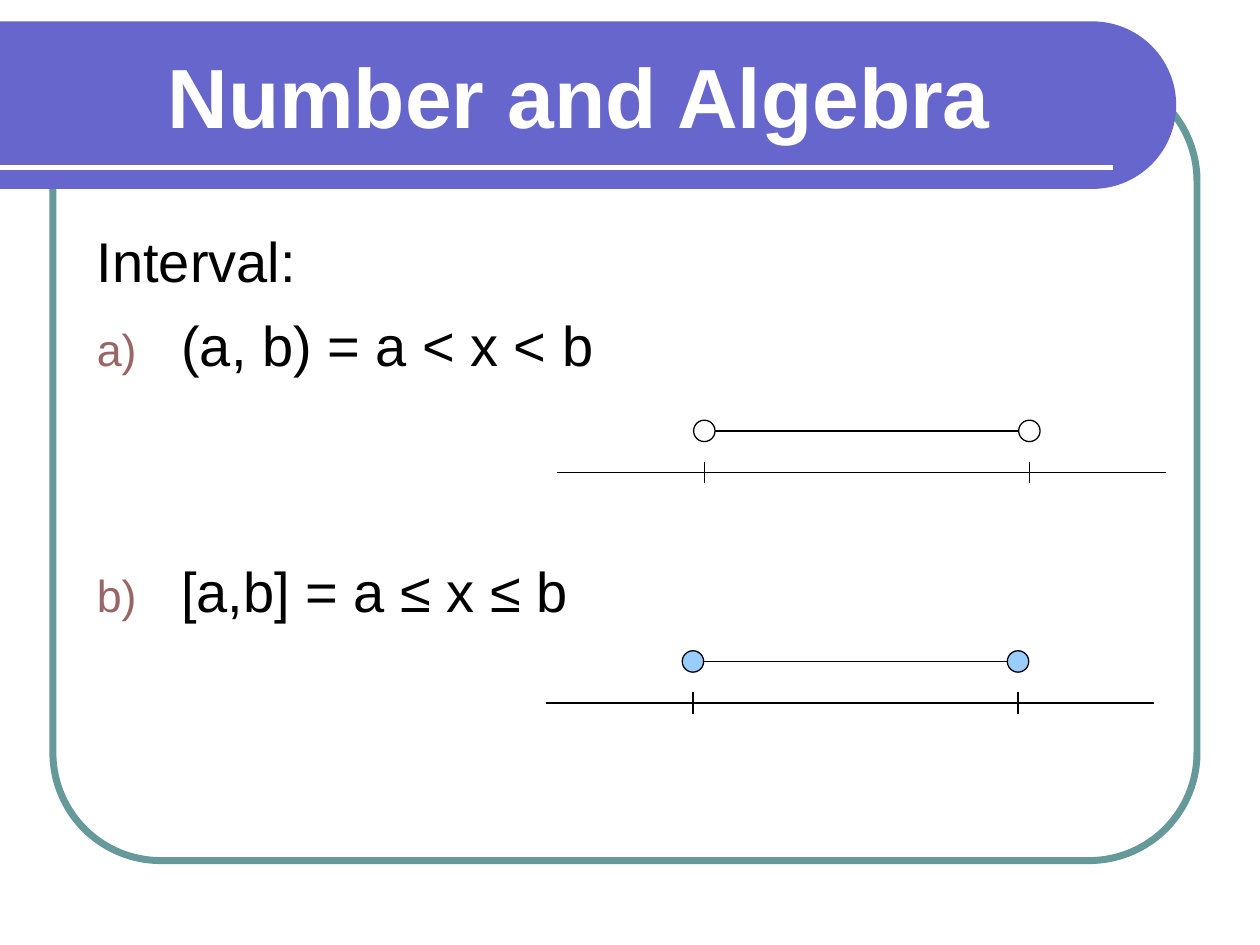
from dataclasses import dataclass
from math import cos, pi, sin

from lxml.etree import SubElement
from pptx import Presentation
from pptx.dml.color import RGBColor
from pptx.enum.shapes import MSO_CONNECTOR as Connector, MSO_SHAPE as Preset
from pptx.enum.text import MSO_ANCHOR as Anchor, PP_ALIGN as Align
from pptx.oxml.ns import qn
from pptx.util import Inches, Pt

FONT = "Arial"
BLACK, WHITE = "000000", "FFFFFF"
PURPLE, TEAL, BROWN, SKY = "6666CC", "669999", "996666", "99CCFF"
DOT = 0.17


@dataclass
class Item:
    text: str
    space_before: float
    number: int = 0


@dataclass
class Interval:
    left: float
    axis_y: float
    dot_fill: str | None


ITEMS = [
    Item("Interval:", 3),
    Item("(a, b) = a < x < b", 9.5, 1),
    Item("[a,b] = a ≤ x ≤ b", 102, 2),
]
INTERVALS = [Interval(4.42, 3.75, None), Interval(4.33, 5.58, SKY)]


def color(value: str) -> RGBColor:
    return RGBColor.from_string(value)


def style(shape, fill: str | None, line: str | None, width: float = 0.75) -> None:
    shape.shadow.inherit = False
    if fill:
        shape.fill.solid()
        shape.fill.fore_color.rgb = color(fill)
    else:
        shape.fill.background()
    if line:
        shape.line.color.rgb = color(line)
        shape.line.width = Pt(width)
    else:
        shape.line.fill.background()


def add_line(slide, x1: float, y1: float, x2: float, y2: float,
             line: str = BLACK, width: float = 0.75) -> None:
    connector = slide.shapes.add_connector(
        Connector.STRAIGHT, Inches(x1), Inches(y1), Inches(x2), Inches(y2))
    connector.line.color.rgb = color(line)
    connector.line.width = Pt(width)
    SubElement(connector.element.spPr, qn("a:effectLst"))


def add_text_frame(slide, left: float, top: float, width: float, height: float):
    box = slide.shapes.add_textbox(
        Inches(left), Inches(top), Inches(width), Inches(height))
    box.text_frame.word_wrap = True
    return box.text_frame


def add_run(paragraph, text: str, size: float, fill: str, bold: bool = False) -> None:
    run = paragraph.add_run()
    run.text = text
    run.font.name = FONT
    run.font.size = Pt(size)
    run.font.bold = bold
    run.font.color.rgb = color(fill)


def add_band(slide) -> None:
    """Title band: square on the left, a half circle on the right."""
    top, bottom, center_x, steps = 0.17, 1.5, 8.67, 60
    radius = (bottom - top) / 2
    angles = [pi * (step / steps - 0.5) for step in range(steps + 1)]
    arc = [(Inches(center_x + radius * cos(angle)),
            Inches(top + radius + radius * sin(angle))) for angle in angles]
    builder = slide.shapes.build_freeform(0, Inches(top))
    builder.add_line_segments(arc + [(0, Inches(bottom))], close=True)
    style(builder.convert_to_shape(), PURPLE, None)


def set_number(paragraph, number: int) -> None:
    properties = paragraph._p.get_or_add_pPr()
    properties.set("marL", str(Inches(0.67)))
    properties.set("indent", str(-Inches(0.67)))
    if number:
        bullet_color = SubElement(properties, qn("a:buClr"))
        SubElement(bullet_color, qn("a:srgbClr"), val=BROWN)
        SubElement(properties, qn("a:buSzPct"), val="80000")
        SubElement(properties, qn("a:buFont"), typeface=FONT)
        SubElement(properties, qn("a:buAutoNum"),
                   type="alphaLcParenR", startAt=str(number))


def add_interval(slide, interval: Interval) -> None:
    left, axis_y = interval.left, interval.axis_y
    start, end = left + 1.17, left + 3.75
    segment_y = axis_y - 0.33
    add_line(slide, left, axis_y, left + 4.83, axis_y)
    add_line(slide, start + DOT / 2, segment_y, end - DOT / 2, segment_y)
    for x in (start, end):
        add_line(slide, x, axis_y - DOT / 2, x, axis_y + DOT / 2)
        dot = slide.shapes.add_shape(
            Preset.OVAL, Inches(x - DOT / 2), Inches(segment_y - DOT / 2),
            Inches(DOT), Inches(DOT))
        style(dot, interval.dot_fill, BLACK)


def main() -> None:
    presentation = Presentation()
    presentation.slide_width, presentation.slide_height = Inches(10), Inches(7.5)
    slide = presentation.slides.add_slide(presentation.slide_layouts[6])

    # Frame and title band
    frame = slide.shapes.add_shape(
        Preset.ROUNDED_RECTANGLE, Inches(0.42), Inches(0.58), Inches(9.08), Inches(6.25))
    frame.adjustments[0] = 0.137
    style(frame, None, TEAL, 4)
    add_band(slide)
    add_line(slide, 0, 1.33, 8.83, 1.33, WHITE, 3)

    # Title
    title = add_text_frame(slide, 0.21, 0.25, 8.77, 1)
    title.vertical_anchor = Anchor.MIDDLE
    title.paragraphs[0].alignment = Align.CENTER
    add_run(title.paragraphs[0], "Number and Algebra", 48, WHITE, bold=True)

    # Definitions
    body = add_text_frame(slide, 0.67, 1.75, 8.67, 4.83)
    for index, item in enumerate(ITEMS):
        paragraph = body.add_paragraph() if index else body.paragraphs[0]
        paragraph.space_before = Pt(item.space_before)
        set_number(paragraph, item.number)
        add_run(paragraph, item.text, 32, BLACK)

    # Number lines
    for interval in INTERVALS:
        add_interval(slide, interval)

    presentation.save("out.pptx")


if __name__ == "__main__":
    main()
